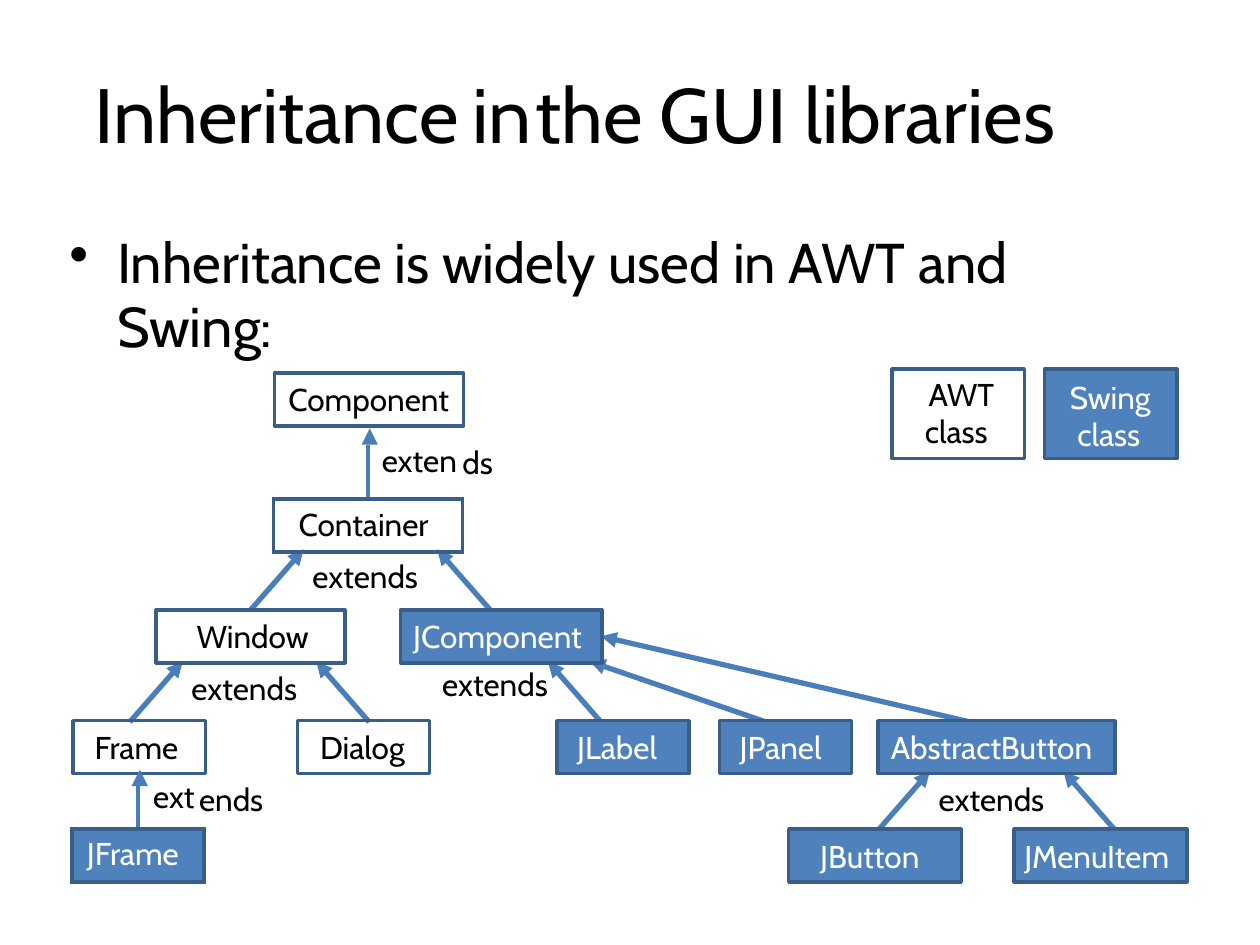
from lxml.etree import SubElement
from pptx import Presentation
from pptx.dml.color import RGBColor
from pptx.enum.shapes import MSO_CONNECTOR, MSO_SHAPE
from pptx.enum.text import MSO_ANCHOR, PP_ALIGN
from pptx.oxml import parse_xml
from pptx.oxml.ns import nsdecls, qn
from pptx.util import Inches, Pt

FONT = "Cabin"
BLACK, WHITE = "000000", "FFFFFF"
SWING_BLUE, OUTLINE, ARROW = "4F81BD", "3A5E8A", "4A7EBB"
BOX_HEIGHT = 0.42
WINDOW_ROW, FRAME_ROW, BUTTON_ROW = 4.84, 5.72, 6.58


def color(hex_string):
    return RGBColor.from_string(hex_string)


def set_indent(paragraph, left, first_line=0):
    properties = paragraph._p.get_or_add_pPr()
    properties.set("marL", str(Inches(left)))
    properties.set("indent", str(Inches(first_line)))


def write(frame, text, size=18, text_color=BLACK, inset=0.02, indent=0.01,
          first_line=0, line_pt=None):
    frame.word_wrap = True
    frame.vertical_anchor = MSO_ANCHOR.TOP
    frame.margin_left = frame.margin_right = frame.margin_bottom = 0
    frame.margin_top = Inches(inset)
    frame.text = text
    paragraph = frame.paragraphs[0]
    set_indent(paragraph, indent, first_line)
    paragraph.alignment = PP_ALIGN.LEFT
    if line_pt:
        paragraph.line_spacing = Pt(line_pt)
    for run in paragraph.runs:
        run.font.name = FONT
        run.font.size = Pt(size)
        run.font.color.rgb = color(text_color)
    return paragraph


def add_text(slide, text, left, top, width, height=0.33, **style):
    text_box = slide.shapes.add_textbox(
        Inches(left), Inches(top), Inches(width), Inches(height))
    return write(text_box.text_frame, text, **style)


def add_title(slide):
    title = add_text(slide, "Inheritance\tin\tthe GUI libraries",
                     0.74, 0.51, 8.52, 0.76, size=44)
    tabs = SubElement(title._p.get_or_add_pPr(), qn("a:tabLst"))
    for position in (3.31, 4.01):
        SubElement(tabs, qn("a:tab"), pos=str(Inches(position)), algn="l")


def add_bullet(slide):
    statement = add_text(slide, "Inheritance is widely used in AWT and Swing:",
                         0.54, 1.75, 7.91, 1.07, size=32, inset=0.08,
                         indent=0.39, first_line=-0.38, line_pt=36.7)
    SubElement(statement._p.get_or_add_pPr(), qn("a:buChar"), char="•")


def add_class(slide, name, left, top, width, indent, swing=False,
              height=BOX_HEIGHT, inset=0.06, **style):
    box = slide.shapes.add_shape(MSO_SHAPE.RECTANGLE, Inches(left), Inches(top),
                                 Inches(width), Inches(height))
    box.shadow.inherit = False
    box.line.color.rgb = color(OUTLINE)
    box.line.width = Pt(2)
    if swing:
        box.fill.solid()
        box.fill.fore_color.rgb = color(SWING_BLUE)
    else:
        box.fill.background()
    write(box.text_frame, name, text_color=WHITE if swing else BLACK,
          inset=inset, indent=indent, **style)


def add_arrow(slide, child_x, child_y, parent_x, parent_y):
    arrow = slide.shapes.add_connector(
        MSO_CONNECTOR.STRAIGHT, Inches(child_x), Inches(child_y),
        Inches(parent_x), Inches(parent_y))
    arrow.line.color.rgb = color(ARROW)
    arrow.line.width = Pt(3)
    properties = arrow._element.spPr
    SubElement(properties.find(qn("a:ln")), qn("a:tailEnd"), type="triangle")
    SubElement(properties, qn("a:effectLst"))


def set_borders(cell, **sides):
    """Sides are L, R, T, B, each with a (color, points) pair."""
    properties = cell._tc.get_or_add_tcPr()
    for position, side in enumerate("LRTB"):
        line_color, points = sides.get(side, (None, 0))
        paint = (f'<a:solidFill><a:srgbClr val="{line_color}"/></a:solidFill>'
                 if line_color else "<a:noFill/>")
        properties.insert(position, parse_xml(
            f'<a:ln{side} {nsdecls("a")} w="{int(Pt(points))}">{paint}</a:ln{side}>'))


def write_cell(cell, text, inset, **style):
    write(cell.text_frame, text, inset=0, **style)
    cell.margin_left = cell.margin_right = cell.margin_bottom = 0
    cell.margin_top = Inches(inset)


def add_linked_class(slide, name, link_text, left, top, width, link_height,
                     name_indent, link_indent, link_pt, inset, swing=False):
    """A class cell under a row whose middle border is the stem of its arrow."""
    table = slide.shapes.add_table(
        2, 2, Inches(left), Inches(top), Inches(width),
        Inches(link_height + BOX_HEIGHT)).table
    table.first_row = table.horz_banding = False
    for column in table.columns:
        column.width = Inches(width / 2)
    table.rows[0].height = Inches(link_height)
    table.rows[1].height = Inches(BOX_HEIGHT)
    table.cell(1, 0).merge(table.cell(1, 1))

    write_cell(table.cell(0, 0), "", 0)
    write_cell(table.cell(0, 1), link_text, 0,
               indent=link_indent, line_pt=link_pt)
    write_cell(table.cell(1, 0), name, inset, indent=name_indent,
               text_color=WHITE if swing else BLACK)
    for cell in table.iter_cells():
        cell.fill.background()
    if swing:
        table.cell(1, 0).fill.solid()
        table.cell(1, 0).fill.fore_color.rgb = color(SWING_BLUE)

    stem, edge = (ARROW, 3), (OUTLINE, 2.25)
    set_borders(table.cell(0, 0), R=stem, B=edge)
    set_borders(table.cell(0, 1), L=stem, B=edge)
    for column in range(2):
        set_borders(table.cell(1, column), L=edge, R=edge, T=edge, B=edge)

    # Arrowhead on top of the stem
    head = slide.shapes.add_shape(
        MSO_SHAPE.ISOSCELES_TRIANGLE, Inches(left + width / 2 - 0.05),
        Inches(top - 0.13), Inches(0.13), Inches(0.13))
    head.shadow.inherit = False
    head.fill.solid()
    head.fill.fore_color.rgb = color(ARROW)
    head.line.fill.background()


def main():
    presentation = Presentation()
    presentation.slide_width, presentation.slide_height = Inches(10), Inches(7.5)
    slide = presentation.slides.add_slide(presentation.slide_layouts[6])

    add_title(slide)
    add_bullet(slide)

    # Arrows from the middle of a child to its parent
    for left_child, parent_row in ((1.99, 4.36), (1.03, 5.25), (6.96, 6.12)):
        child_y = parent_row + 0.48
        add_arrow(slide, left_child, child_y, left_child + 0.42, parent_row)
        add_arrow(slide, left_child + 1.9, child_y, left_child + 1.48, parent_row)
    for child_x, parent_x, parent_y in ((4.77, 4.35, 5.25), (6.08, 4.68, 5.25),
                                        (7.7, 4.77, 5.05)):
        add_arrow(slide, child_x, 5.73, parent_x, parent_y)

    # AWT classes
    add_class(slide, "Component", 2.18, 2.96, 1.5, 0.11)
    add_class(slide, "Window", 1.24, WINDOW_ROW, 1.5, 0.32)
    add_class(slide, "Frame", 0.58, FRAME_ROW, 1.05, 0.17)
    add_class(slide, "Dialog", 2.36, FRAME_ROW, 1.05, 0.18)
    add_linked_class(slide, "Container", "exten", 2.17, 3.53, 1.5, 0.43,
                     0.2, 0.11, 20.3, 0.06)

    # Swing classes
    for name, left, top, width, indent in (
            ("JComponent", 3.18, WINDOW_ROW, 1.6, 0.1),
            ("JLabel", 4.42, FRAME_ROW, 1.05, 0.16),
            ("JPanel", 5.71, FRAME_ROW, 1.05, 0.16),
            ("AbstractButton", 6.97, FRAME_ROW, 1.88, 0.1),
            ("JButton", 6.26, BUTTON_ROW, 1.37, 0.25),
            ("JMenuItem", 8.05, BUTTON_ROW, 1.37, 0.08)):
        add_class(slide, name, left, top, width, indent, swing=True)
    add_linked_class(slide, "JFrame", "ext", 0.57, 6.24, 1.05, 0.34,
                     0.12, 0.12, 17, 0.05, swing=True)

    # Relation labels
    for left, top in ((2.47, 4.4), (1.51, 5.29), (3.5, 5.26), (7.44, 6.17)):
        add_text(slide, "extends", left, top, 0.9)
    add_text(slide, "ds", 3.66, 3.5, 0.27)
    add_text(slide, "ends", 1.57, 6.17, 0.54)

    # Legend
    add_class(slide, "AWT class", 7.08, 2.93, 1.05, 0.26, height=0.71,
              inset=0.05, first_line=0.03, line_pt=21.3)
    add_class(slide, "Swing class", 8.29, 2.93, 1.05, 0.26, swing=True,
              height=0.71, inset=0.08, first_line=-0.06, line_pt=21)

    presentation.save("out.pptx")


if __name__ == "__main__":
    main()
